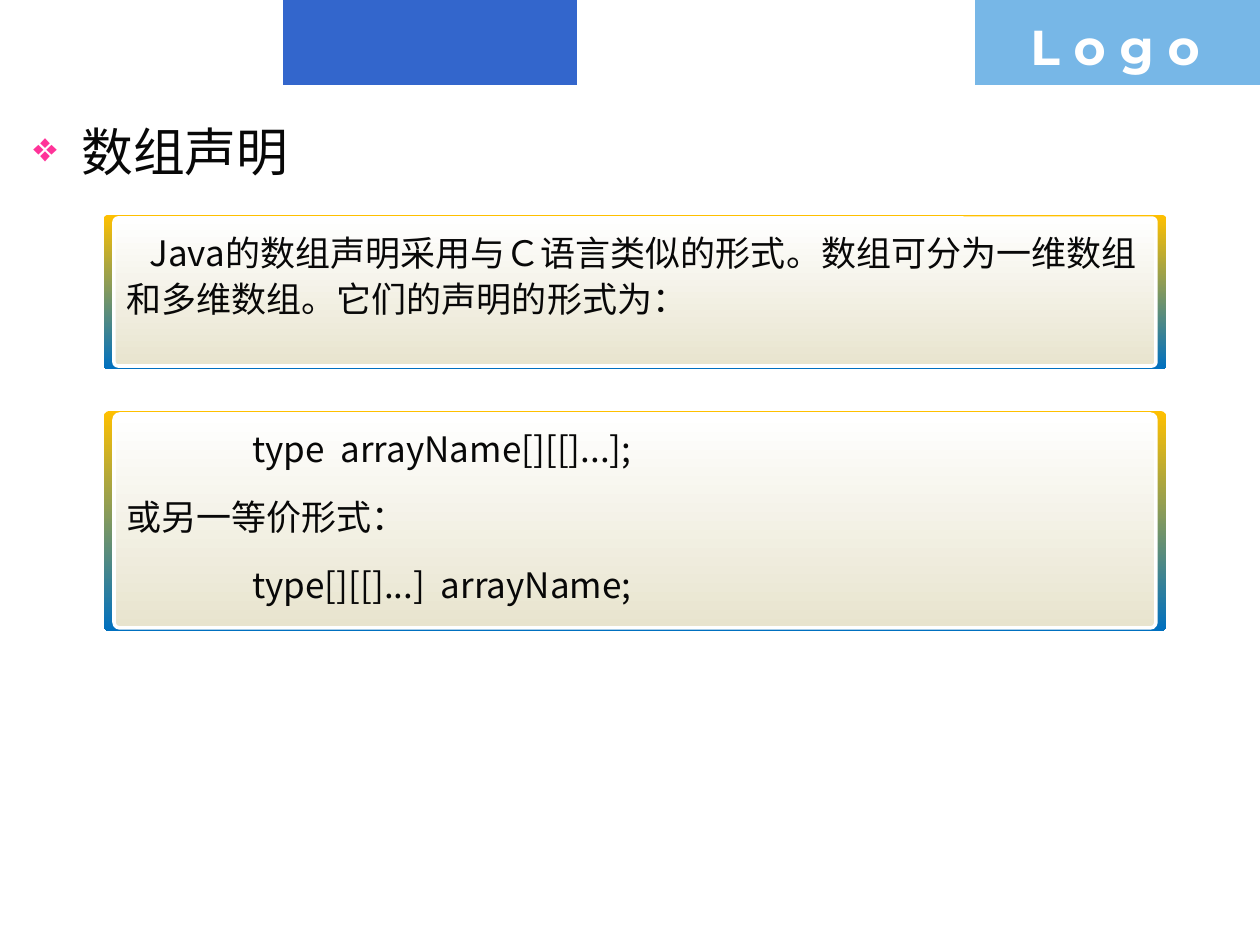
from lxml import etree
from pptx import Presentation
from pptx.dml.color import RGBColor
from pptx.enum.shapes import MSO_SHAPE
from pptx.oxml.ns import qn
from pptx.util import Pt

RECTANGLE = MSO_SHAPE.RECTANGLE
ROUNDED = MSO_SHAPE.ROUNDED_RECTANGLE
SCALE = 914400 / 126
BODY_FONT = "Noto Sans CJK SC"
COLORS = {
    "blue": "3366CC", "sky": "77B7E7", "white": "FFFFFF", "ink": "080808",
    "pink": "FF3399", "gold": "FFC000", "deep": "0070C0", "sand": "E8E4CE",
}


def px(length):
    """Turn px into EMU."""
    return round(length * SCALE)


def color(name):
    """Look up a named colour."""
    return RGBColor.from_string(COLORS[name])


def add_block(page, kind, box, *fills):
    """Add a shape without outline, filled flat or from top to bottom."""
    shape = page.shapes.add_shape(kind, *map(px, box))
    shape.shadow.inherit = False
    shape.line.fill.background()
    if len(fills) == 1:
        shape.fill.solid()
        shape.fill.fore_color.rgb = color(fills[0])
    else:
        shape.fill.gradient()
        shape.fill.gradient_angle = 270
        for stop, name, position in zip(shape.fill.gradient_stops, fills, (0, 1)):
            stop.color.rgb = color(name)
            stop.position = position
    return shape


def add_text(page, box, lines, size, font=BODY_FONT, fill="ink", pitch=None, gap=0):
    """Add a wrapped text box and return its paragraphs."""
    frame = page.shapes.add_textbox(*map(px, box)).text_frame
    frame.word_wrap = True
    frame.text = "\n".join(lines)
    for index, para in enumerate(frame.paragraphs):
        if pitch:
            para.line_spacing = Pt(pitch)
        if index:
            para.space_before = Pt(gap)
        for span in para.runs:
            span.font.size = Pt(size)
            span.font.name = font
            span.font.color.rgb = color(fill)
            east_asian = etree.SubElement(span.font._element, qn("a:ea"))
            east_asian.set("typeface", font)
    return frame.paragraphs


def indent(para, left, first):
    """Set the left margin and first-line indent of a paragraph."""
    properties = para._p.get_or_add_pPr()
    properties.set("marL", str(px(left)))
    properties.set("indent", str(px(first)))
    return properties


def add_header(page, left, top, width, height):
    """Draw the two header bands and the label on the right one."""
    add_block(page, RECTANGLE, (left + 283, top, 294, height), "blue")
    add_block(page, RECTANGLE, (left + 975, top, width - 975, height), "sky")
    label = add_text(page, (left + 1018, top + 10, 242, 72), ["L o g o"], 28,
                     "Montserrat", "white")[0]
    label.runs[0].font.bold = True


def add_heading(page, left, top, width, height):
    """Write the heading with its diamond bullet."""
    para = add_text(page, (left, top, width, height), ["数组声明"], 29.6, pitch=35.5)[0]
    properties = indent(para, 48, -48)
    bullet_color = etree.SubElement(properties, qn("a:buClr"))
    etree.SubElement(bullet_color, qn("a:srgbClr")).set("val", COLORS["pink"])
    etree.SubElement(properties, qn("a:buSzPct")).set("val", "80000")
    etree.SubElement(properties, qn("a:buChar")).set("char", "❖")


def add_panel(page, left, top, width, height, lines, first_indents):
    """Draw a framed panel and write its lines inside."""
    frame = add_block(page, ROUNDED, (left, top, width, height), "gold", "deep")
    frame.adjustments[0] = 0.024
    inner = (left + 10, top + 3, width - 20, height - 6)
    face = add_block(page, ROUNDED, inner, "white", "sand")
    face.adjustments[0] = 0.027
    face.line.color.rgb = color("white")
    face.line.width = Pt(2)
    paras = add_text(page, (left + 10, top + 6, width - 20, height - 12), lines, 20,
                     pitch=26.4, gap=12.5)
    for para, first in zip(paras, first_indents):
        indent(para, 0, first)


def main():
    """Build and save the slide."""
    deck = Presentation()
    deck.slide_width, deck.slide_height = px(1260), px(945)
    page = deck.slides.add_slide(deck.slide_layouts[6])
    add_header(page, 0, 0, 1260, 85)
    add_panel(page, 104, 215, 1062, 154,
              ["Java的数组声明采用与Ｃ语言类似的形式。数组可分为一维数组和多维数组。它们的声明的形式为："],
              [23])
    add_panel(page, 104, 411, 1062, 220,
              ["type  arrayName[][[]...];", "或另一等价形式：", "type[][[]...]  arrayName;"],
              [126, 0, 126])
    add_heading(page, 21, 114, 1197, 76)
    deck.save("out.pptx")


if __name__ == "__main__":
    main()
